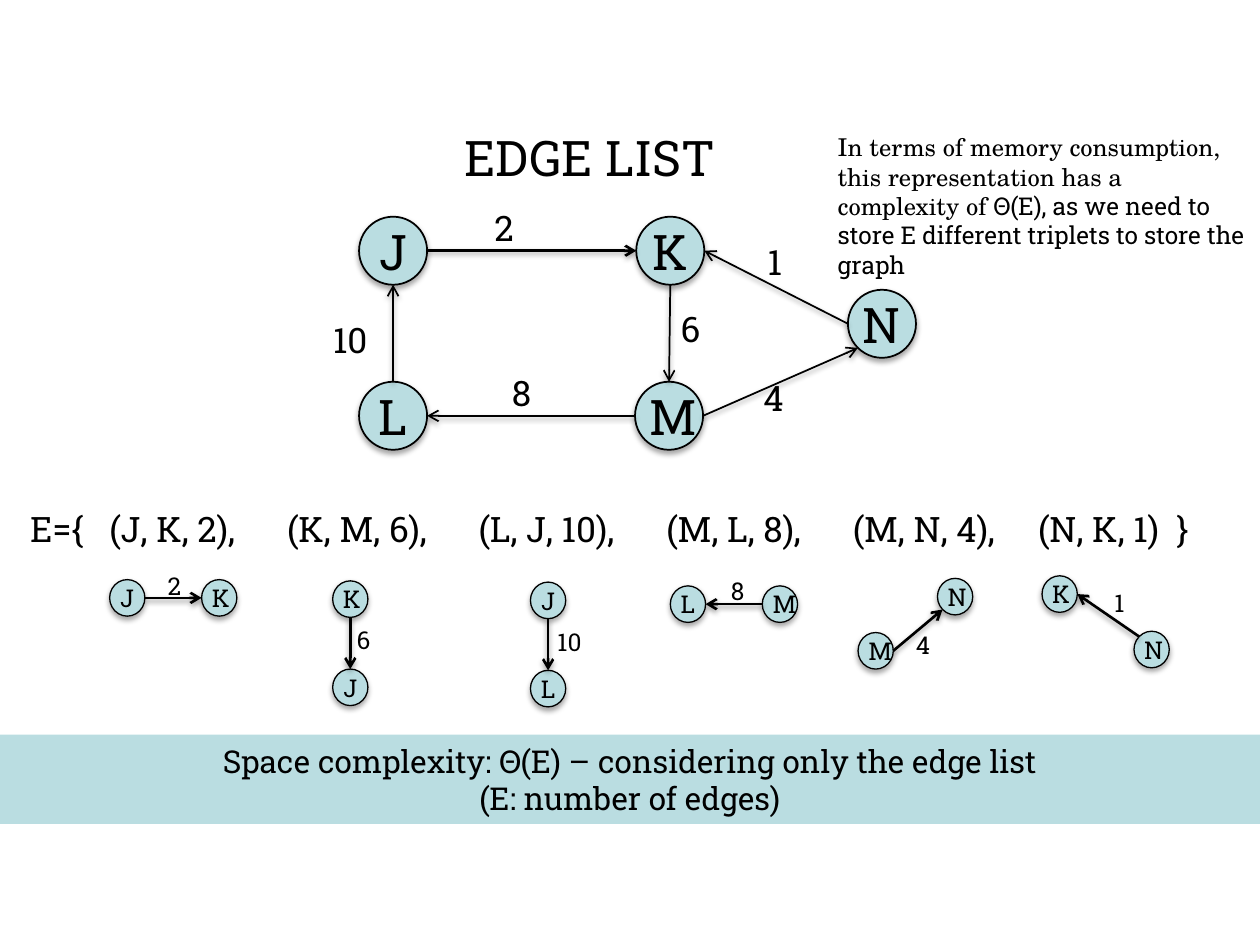
from lxml import etree
from pptx import Presentation
from pptx.dml.color import RGBColor
from pptx.enum.shapes import MSO_CONNECTOR, MSO_SHAPE
from pptx.enum.text import MSO_ANCHOR, MSO_AUTO_SIZE, PP_ALIGN
from pptx.oxml.ns import qn
from pptx.util import Inches, Pt

CENTER, LEFT = PP_ALIGN.CENTER, PP_ALIGN.LEFT
MIDDLE = MSO_ANCHOR.MIDDLE
GROW = MSO_AUTO_SIZE.SHAPE_TO_FIT_TEXT
ELLIPSE, RECTANGLE = MSO_SHAPE.OVAL, MSO_SHAPE.RECTANGLE
STRAIGHT = MSO_CONNECTOR.STRAIGHT

COLORS = {"ink": "000000", "aqua": "BADDE1"}
SLAB, SCHOLA = "Roboto Slab", "TeX Gyre Schola"
DIAGONAL = 0.71
SIDES = {
    "top": (0, -1), "bottom": (0, 1), "left": (-1, 0), "right": (1, 0),
    "top_left": (-DIAGONAL, -DIAGONAL), "bottom_left": (-DIAGONAL, DIAGONAL),
}

VERTICES = {
    "J": (2.85, 1.72), "K": (5.05, 1.72), "L": (2.85, 3.03),
    "M": (5.04, 3.03), "N": (6.73, 2.3),
}
EDGES = [
    ("J", "right", "K", "left", 1.5),
    ("K", "bottom", "M", "top", 1),
    ("M", "left", "L", "right", 1),
    ("L", "top", "J", "bottom", 1),
    ("N", "left", "K", "right", 1),
    ("M", "right", "N", "bottom_left", 1),
]
WEIGHTS = [
    ("2", 3.82, 1.59, 0.36), ("10", 2.5, 2.48, 0.56), ("8", 3.96, 2.9, 0.36),
    ("6", 5.3, 2.39, 0.36), ("4", 5.96, 2.94, 0.36), ("1", 5.97, 1.86, 0.36),
]
TRIPLET_DRAWINGS = [
    (("J", 0.87, 4.6, "right"), ("K", 1.6, 4.6, "left"), ("2", 1.23, 4.48, 0.31)),
    (("K", 2.64, 4.61, "bottom"), ("J", 2.64, 5.31, "top"), ("6", 2.73, 4.91, 0.31)),
    (("J", 4.21, 4.62, "bottom"), ("L", 4.21, 5.32, "top"), ("10", 4.3, 4.93, 0.44)),
    (("M", 6.05, 4.65, "left"), ("L", 5.32, 4.65, "right"), ("8", 5.7, 4.52, 0.31)),
    (("M", 6.81, 5.02, "right"), ("N", 7.44, 4.59, "bottom_left"),
     ("4", 7.17, 4.95, 0.31)),
    (("N", 9, 5.01, "top_left"), ("K", 8.27, 4.57, "right"), ("1", 8.73, 4.62, 0.31)),
]
EDGE_SET = ["E={", "(J, K, 2),", "(K, M, 6),", "(L, J, 10),",
            "(M, L, 8),", "(M, N, 4),", "(N, K, 1)", "}"]
EDGE_SET_TABS = [0.63, 2.04, 3.56, 5.05, 6.53, 8, 9.1]


def color(name):
    return RGBColor.from_string(COLORS[name])


def add_shadow(element, distance, opacity):
    effects = etree.SubElement(element.spPr, qn("a:effectLst"))
    shadow = etree.SubElement(
        effects, qn("a:outerShdw"), blurRad=str(Pt(3.1)), dist=str(Pt(distance)),
        dir="5400000", rotWithShape="0")
    tint = etree.SubElement(shadow, qn("a:srgbClr"), val=COLORS["ink"])
    etree.SubElement(tint, qn("a:alpha"), val=str(opacity * 1000))


def add_run(paragraph, text, size, font=SLAB):
    run = paragraph.add_run()
    run.text = text
    run.font.name = font
    run.font.size = Pt(size)
    run.font.color.rgb = color("ink")


def add_text(slide, x, y, width, height, runs, align=CENTER, wrap=True):
    box = slide.shapes.add_textbox(Inches(x), Inches(y), Inches(width), Inches(height))
    frame = box.text_frame
    frame.word_wrap = wrap
    frame.auto_size = GROW
    paragraph = frame.paragraphs[0]
    paragraph.alignment = align
    for run in runs:
        add_run(paragraph, *run)
    return paragraph


def add_weight(slide, weight, x, y, width, height, size):
    add_text(slide, x, y, width, height, [(weight, size)], wrap=False)


def add_node(slide, letter, x, y, width, height, size, outline, align=CENTER):
    node = slide.shapes.add_shape(
        ELLIPSE, Inches(x), Inches(y), Inches(width), Inches(height))
    node.fill.solid()
    node.fill.fore_color.rgb = color("aqua")
    node.line.color.rgb = color("ink")
    node.line.width = Pt(outline)
    add_shadow(node._element, 1.8, 35)
    frame = node.text_frame
    frame.word_wrap = True
    frame.vertical_anchor = MIDDLE
    frame.margin_left = frame.margin_right = Inches(0.04)
    frame.margin_top = frame.margin_bottom = Inches(0.05)
    frame.paragraphs[0].alignment = align
    add_run(frame.paragraphs[0], letter, size)
    return node


def rim_point(node, side):
    dx, dy = SIDES[side]
    return (int(node.left + node.width * (1 + dx) / 2),
            int(node.top + node.height * (1 + dy) / 2))


def add_edge(slide, source, source_side, target, target_side, width):
    edge = slide.shapes.add_connector(
        STRAIGHT, *rim_point(source, source_side), *rim_point(target, target_side))
    edge.line.color.rgb = color("ink")
    edge.line.width = Pt(width)
    etree.SubElement(edge.line._get_or_add_ln(), qn("a:tailEnd"), type="arrow")
    add_shadow(edge._element, 1.6, 38)


def add_graph(slide):
    nodes = {
        letter: add_node(slide, letter, x, y, 0.54, 0.54, 28, 1,
                         LEFT if letter == "M" else CENTER)
        for letter, (x, y) in VERTICES.items()
    }
    for source, source_side, target, target_side, width in EDGES:
        add_edge(slide, nodes[source], source_side, nodes[target], target_side, width)
    for weight in WEIGHTS:
        add_weight(slide, *weight, 0.44, 20)


def add_triplet_drawing(slide, source, target, weight):
    ends = []
    for letter, x, y, side in (source, target):
        ends += [add_node(slide, letter, x, y, 0.28, 0.29, 14, 0.75), side]
    add_edge(slide, *ends, 1.5)
    add_weight(slide, *weight, 0.34, 14)


def add_edge_set(slide):
    line = add_text(slide, 0.14, 3.98, 9.8, 0.44, [], LEFT)
    stops = etree.SubElement(line._p.get_or_add_pPr(), qn("a:tabLst"))
    for position in EDGE_SET_TABS:
        etree.SubElement(stops, qn("a:tab"), pos=str(Inches(position)), algn="l")
    add_run(line, "\t".join(EDGE_SET), 20)


def add_band(slide, lines):
    band = slide.shapes.add_shape(
        RECTANGLE, Inches(0), Inches(5.83), Inches(10), Inches(0.71))
    band.shadow.inherit = False
    band.fill.solid()
    band.fill.fore_color.rgb = color("aqua")
    band.line.fill.background()
    frame = band.text_frame
    frame.word_wrap = True
    frame.auto_size = GROW
    for index, text in enumerate(lines):
        paragraph = frame.add_paragraph() if index else frame.paragraphs[0]
        paragraph.alignment = CENTER
        add_run(paragraph, text, 18)


def main():
    deck = Presentation()
    deck.slide_width, deck.slide_height = Inches(10), Inches(7.5)
    slide = deck.slides.add_slide(deck.slide_layouts[6])
    add_graph(slide)
    add_text(slide, 3.22, 0.96, 2.92, 0.57, [("EDGE LIST", 28)])
    add_edge_set(slide)
    for source, target, weight in TRIPLET_DRAWINGS:
        add_triplet_drawing(slide, source, target, weight)
    add_band(slide, ["Space complexity: Θ(E) – considering only the edge list",
                     "(E: number of edges)"])
    add_text(slide, 6.55, 1, 3.45, 1.04, [
        ("In terms of memory consumption, this representation has a complexity of ",
         14, SCHOLA),
        ("Θ(E), as we need to store E different triplets to store the graph", 14),
    ], LEFT)
    deck.save("out.pptx")


if __name__ == "__main__":
    main()
